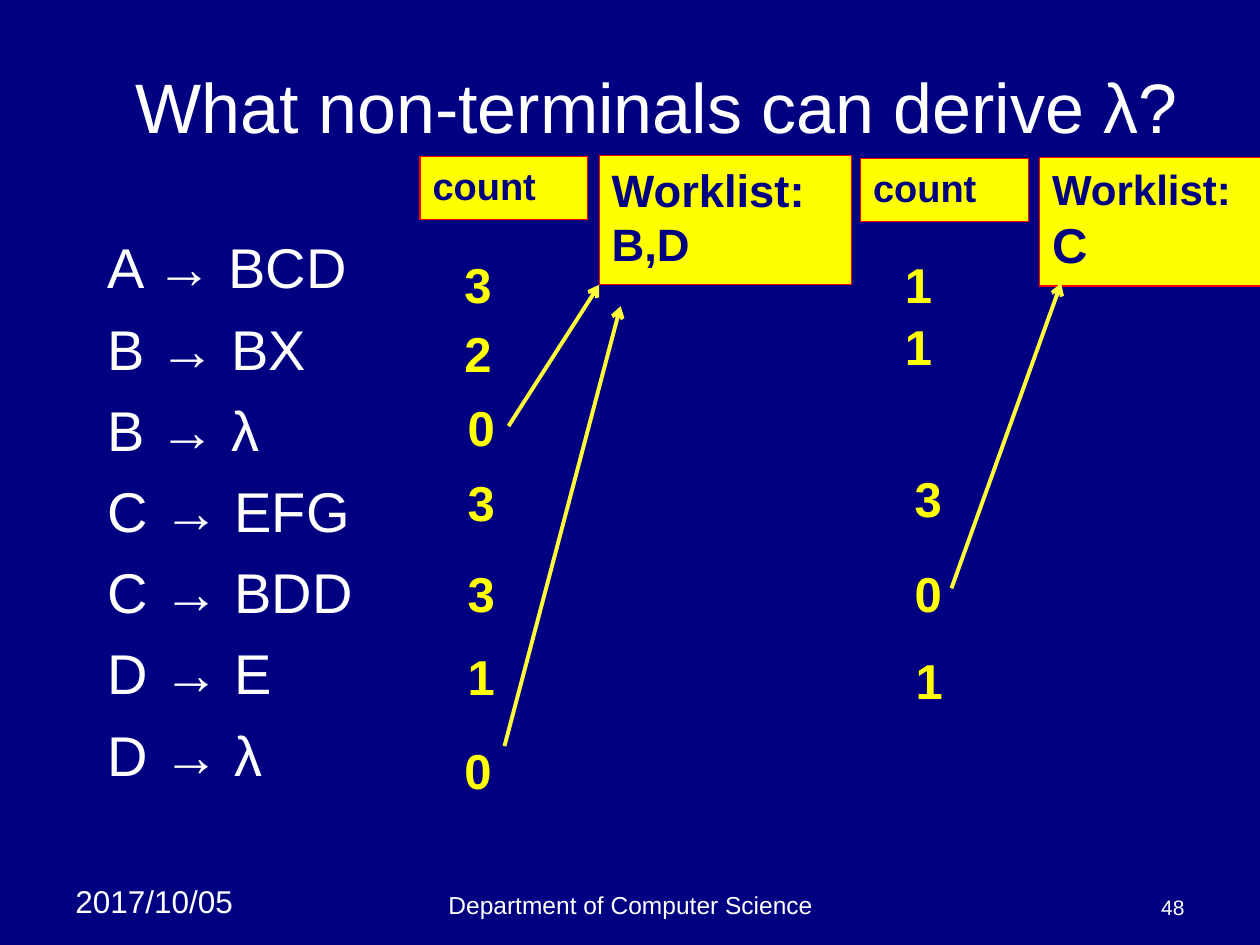
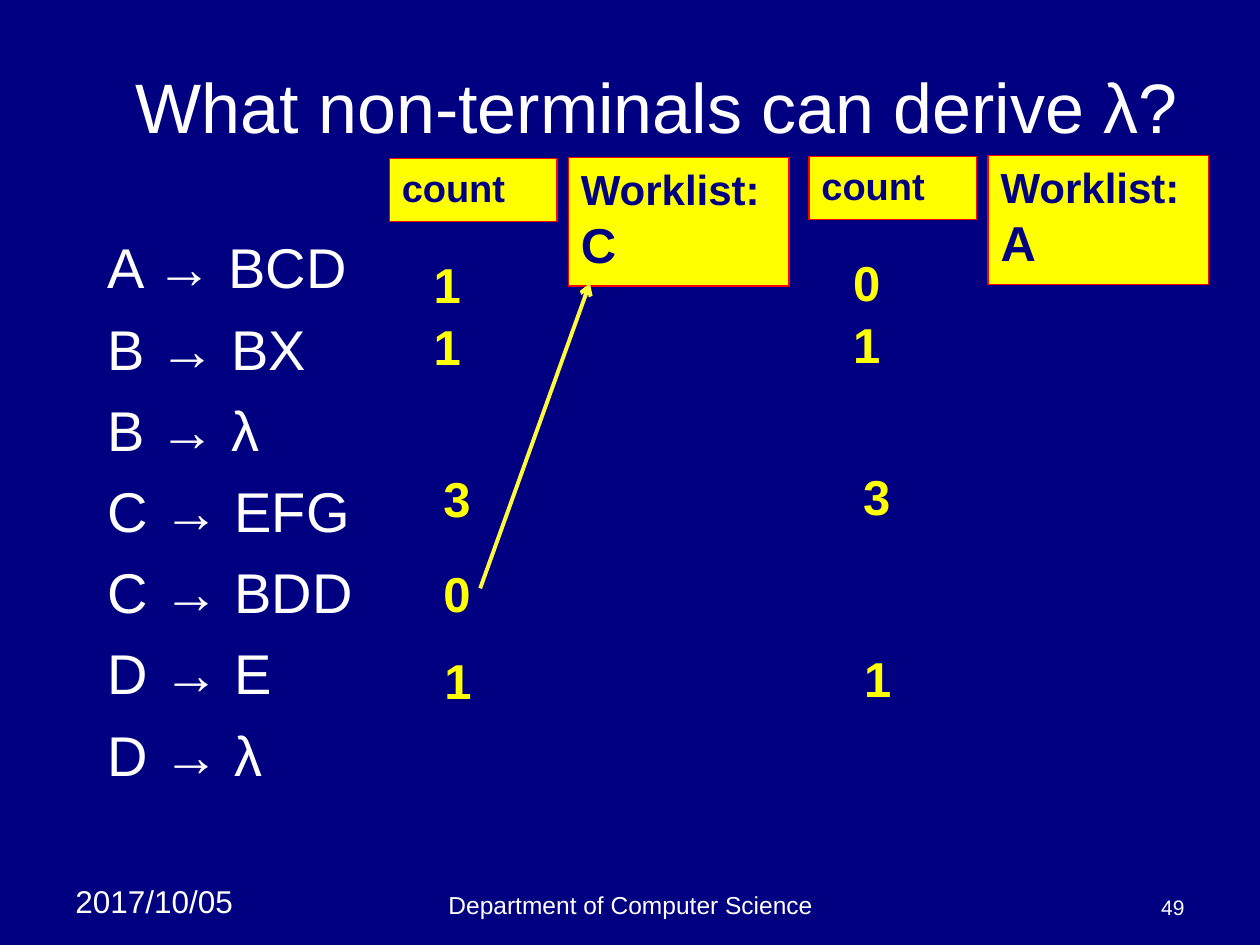
from dataclasses import dataclass
from typing import NamedTuple

from lxml.etree import SubElement
from pptx import Presentation
from pptx.dml.color import RGBColor as Rgb
from pptx.enum.shapes import MSO_CONNECTOR as Link, MSO_SHAPE as Form
from pptx.enum.text import MSO_ANCHOR as Anchor, PP_ALIGN as Align
from pptx.oxml.ns import qn
from pptx.util import Cm, Pt

NAVY, WHITE, YELLOW, RED, LEMON = "000080", "FFFFFF", "FFFF00", "FF0000", "FFFB3B"
FONT = "Arial"
TITLE = "What non-terminals can derive λ?"
RULES = "A → BCD\nB → BX\nB → λ\nC → EFG\nC → BDD\nD → E\nD → λ"


class Box(NamedTuple):
    left: float
    top: float
    width: float
    height: float


class Spot(NamedTuple):
    x: float
    y: float


class Arrow(NamedTuple):
    start: Spot
    end: Spot


@dataclass
class Style:
    size: float
    color: str = WHITE
    bold: bool = False
    align: Align = Align.LEFT
    anchor: Anchor = Anchor.TOP
    wrap: bool = True
    before: float = 0


@dataclass
class Label:
    text: str
    box: Box
    style: Style


@dataclass
class Column:
    left: float
    top: float
    marks: str
    spots: list[Spot]
    item: str
    arrows: list[Arrow]
    width: float = 4.45
    sizes: tuple[float, float] = (24, 28)


FIRST = [Spot(0.64, 1.84), Spot(0.64, 3.24), Spot(0.71, 4.72), Spot(0.71, 6.24),
         Spot(0.71, 8.07), Spot(0.71, 9.75), Spot(0.64, 11.65)]
LATER = [Spot(0.64, 1.8), Spot(0.64, 3.05), Spot(0.84, 6.12), Spot(0.84, 8.03),
         Spot(0.86, 9.78)]
RISE = Arrow(Spot(1.83, 8.66), Spot(4.04, 2.51))
DUO = [Arrow(Spot(1.78, 5.43), Spot(3.61, 2.58)),
       Arrow(Spot(1.7, 11.88), Spot(4.04, 3.01))]

MARK = Style(28, YELLOW, bold=True, wrap=False)
HEAD = Style(21.7, NAVY, bold=True)

SHARED = [
    Label("2017/10/05", Box(1.27, 17.65, 4.01, 1.02), Style(18)),
    Label("Department of Computer Science", Box(8.69, 17.35, 8.05, 1.32),
          Style(14, align=Align.CENTER, anchor=Anchor.BOTTOM)),
    Label(TITLE, Box(1.91, 1.17, 22.66, 1.91),
          Style(40, align=Align.CENTER, anchor=Anchor.MIDDLE)),
    Label(RULES, Box(1.91, 4.57, 21.79, 11.63), Style(32, before=8)),
]
NUMBER = Box(18.21, 17.35, 5.92, 1.32)

PAGES = {
    "48": [
        Column(8.47, 3.16, "3203310", FIRST, "B,D", DUO, 5.08, (25.9, 25.9)),
        Column(17.35, 3.2, "11301", LATER, "C", [RISE]),
    ],
    "49": [
        Column(7.85, 3.2, "11301", LATER, "C", [RISE]),
        Column(16.31, 3.16, "013 1", LATER, "A", []),
    ],
}


def paint(hue: str) -> Rgb:
    return Rgb.from_string(hue)


def write(shape, text: str, style: Style) -> None:
    frame = shape.text_frame
    frame.text = text
    frame.word_wrap = style.wrap
    frame.vertical_anchor = style.anchor
    for para in frame.paragraphs:
        para.alignment = style.align
        para.space_before = Pt(style.before)
        for run in para.runs:
            font = run.font
            font.name, font.size, font.bold = FONT, Pt(style.size), style.bold
            font.color.rgb = paint(style.color)


def add_label(slide, label: Label) -> None:
    shape = slide.shapes.add_textbox(*map(Cm, label.box))
    write(shape, label.text, label.style)


def add_card(slide, text: str, box: Box):
    card = slide.shapes.add_shape(Form.RECTANGLE, *map(Cm, box))
    card.shadow.inherit = False
    card.fill.solid()
    card.fill.fore_color.rgb = paint(YELLOW)
    card.line.color.rgb = paint(RED)
    card.line.width = Pt(0.75)
    write(card, text, HEAD)
    return card


def add_arrow(slide, col: Column, arrow: Arrow) -> None:
    ends = [Cm(edge) for spot in arrow
            for edge in (col.left + spot.x, col.top + spot.y)]
    link = slide.shapes.add_connector(Link.STRAIGHT, *ends)
    link.line.color.rgb = paint(LEMON)
    link.line.width = Pt(2.25)
    SubElement(link.line._get_or_add_ln(), qn("a:tailEnd"), type="arrow")
    SubElement(link._element.spPr, qn("a:effectLst"))


def add_column(slide, col: Column) -> None:
    add_card(slide, "count", Box(col.left, col.top, 3.38, 1.27))
    for mark, spot in zip(col.marks, col.spots):
        if mark != " ":
            box = Box(col.left + spot.x, col.top + spot.y, 1.04, 1.45)
            add_label(slide, Label(mark, box, MARK))
    list_box = Box(col.left + 3.61, col.top - 0.02, col.width, 2.59)
    card = add_card(slide, f"Worklist:\n{col.item}", list_box)
    for para, size in zip(card.text_frame.paragraphs, col.sizes):
        para.runs[0].font.size = Pt(size)
    for arrow in col.arrows:
        add_arrow(slide, col, arrow)


def add_page(deck, number: str, cols: list[Column]) -> None:
    slide = deck.slides.add_slide(deck.slide_layouts[6])
    slide.background.fill.solid()
    slide.background.fill.fore_color.rgb = paint(NAVY)
    foot = Style(12, align=Align.RIGHT, anchor=Anchor.BOTTOM)
    for label in [*SHARED, Label(number, NUMBER, foot)]:
        add_label(slide, label)
    for col in cols:
        add_column(slide, col)


def main() -> None:
    deck = Presentation()
    deck.slide_width, deck.slide_height = Cm(25.4), Cm(19.05)
    for number, cols in PAGES.items():
        add_page(deck, number, cols)
    deck.save("out.pptx")


if __name__ == "__main__":
    main()
